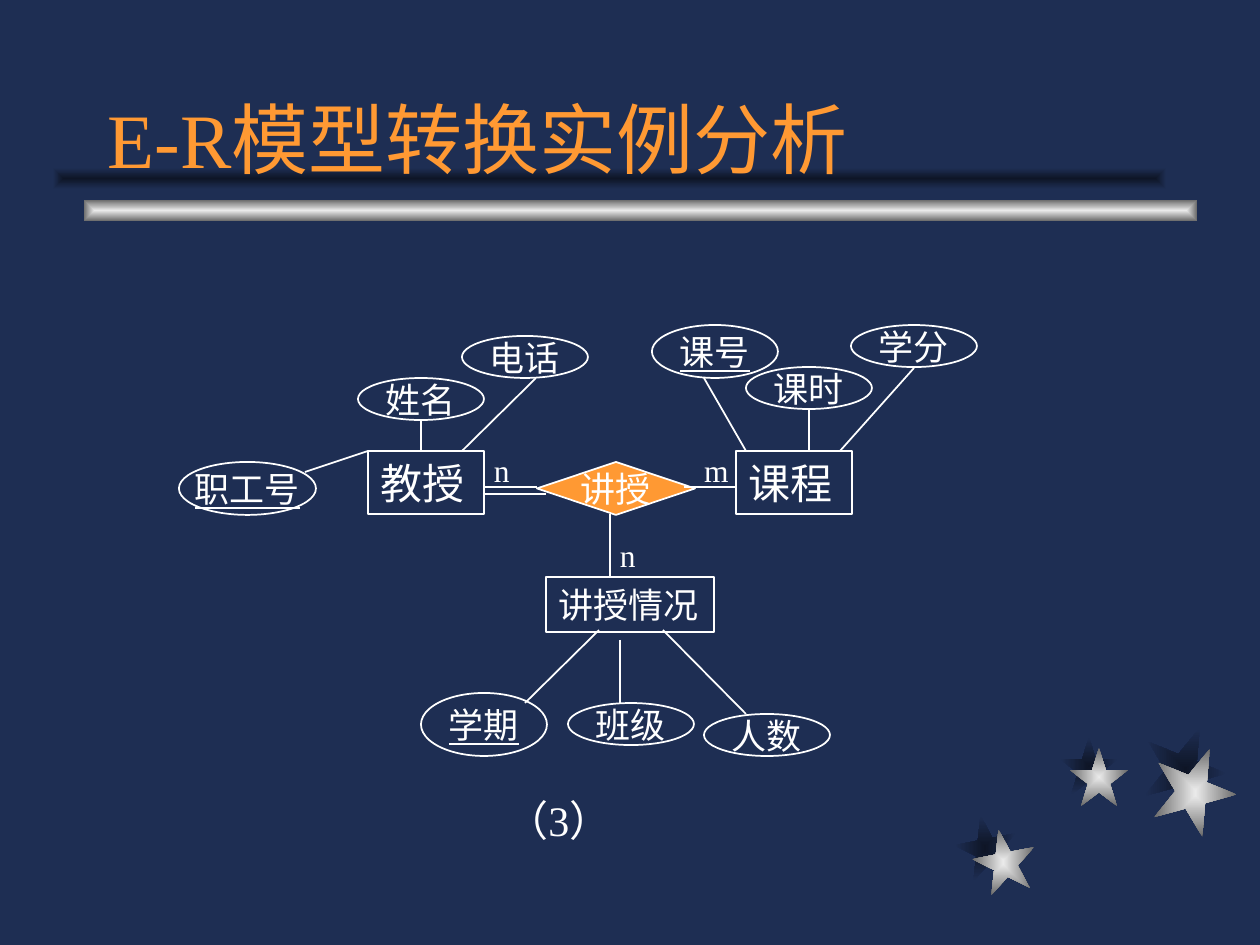
import math

import lxml.etree
import pptx
import pptx.dml.color
import pptx.enum.shapes
import pptx.enum.text
import pptx.oxml.ns
import pptx.util

PX = 914400 / 126
FONT = "Times New Roman"
COLORS = {
    "background": "1E2E53",
    "shadow": "0E1526",
    "accent": "FF9933",
    "text": "FFFFFF",
    "silver": "EAEAEA",
    "grey": "6C6C6C",
}
MSO_SHAPE = pptx.enum.shapes.MSO_SHAPE
PP_ALIGN = pptx.enum.text.PP_ALIGN
MSO_ANCHOR = pptx.enum.text.MSO_ANCHOR

SILVER = ("silver", "grey")
SHADOW = ("shadow", "background")
STARS = [
    (SHADOW, 955, 815, 63, 349),
    (SHADOW, 1060, 737, 58, 0),
    (SHADOW, 1142, 725, 84, 22),
    (SILVER, 973, 829, 63, 349),
    (SILVER, 1070, 748, 58, 0),
    (SILVER, 1152, 746, 84, 22),
]
BARS = [(SILVER, (84, 200, 1113, 21)), (SHADOW, (53, 168, 1113, 21))]
ENTITIES = [
    ("教授", (368, 451, 116, 63), 24),
    ("课程", (736, 451, 116, 63), 24),
    ("讲授情况", (546, 577, 168, 55), 20),
]
ATTRIBUTES = [
    ("职工号", (179, 462, 137, 53), True),
    ("姓名", (358, 378, 126, 42), False),
    ("电话", (462, 336, 126, 42), False),
    ("课号", (652, 325, 126, 53), True),
    ("课时", (746, 367, 126, 42), False),
    ("学分", (851, 325, 126, 42), False),
    ("学期", (421, 693, 126, 63), True),
    ("班级", (568, 703, 126, 42), False),
    ("人数", (704, 714, 126, 42), False),
]
CARDINALITIES = [("n", 494, 451), ("m", 704, 451), ("n", 620, 536)]
LINKS = [
    (484, 487, 537, 487),
    (483, 494, 546, 494),
    (684, 487, 736, 487),
    (610, 514, 610, 577),
    (305, 472, 368, 451),
    (421, 420, 421, 451),
    (536, 378, 462, 451),
    (704, 378, 746, 451),
    (809, 410, 809, 451),
    (914, 368, 840, 451),
    (599, 630, 525, 703),
    (620, 640, 620, 703),
    (663, 630, 746, 714),
]


def emu(*lengths):
    """Turn px lengths into EMU."""
    return [pptx.util.Emu(round(n * PX)) for n in lengths]


def rgb(name):
    """Look up a named colour."""
    return pptx.dml.color.RGBColor.from_string(COLORS[name])


def write(shape, text, size, color="text", align=PP_ALIGN.LEFT,
          anchor=MSO_ANCHOR.TOP, wrap=True, underline=None):
    """Put one formatted paragraph into a shape."""
    tf = shape.text_frame
    tf.word_wrap = wrap
    tf.auto_size = pptx.enum.text.MSO_AUTO_SIZE.NONE
    tf.vertical_anchor = anchor
    p = tf.paragraphs[0]
    p.text = text
    p.alignment = align
    p.font.name = FONT
    p.font.size = pptx.util.Pt(size)
    p.font.underline = underline
    p.font.color.rgb = rgb(color)


def fill_from_centre(shape, colors):
    """Fill a borderless shape with a gradient running from its centre."""
    shape.shadow.inherit = False
    shape.line.fill.background()
    shape.fill.gradient()
    for stop, color in zip(shape.fill.gradient_stops, colors):
        stop.color.rgb = rgb(color)
    qn = pptx.oxml.ns.qn
    lin = next(shape.element.iter(qn("a:lin")))
    path = lxml.etree.Element(qn("a:path"), path="rect")
    lxml.etree.SubElement(path, qn("a:fillToRect"),
                          dict.fromkeys("ltrb", "50000"))
    lin.getparent().replace(lin, path)


def add_star(s, colors, left, top, size, angle):
    """Draw a five-pointed star fitted to a square and turned about its centre."""
    width, height = 2 * math.sin(math.radians(72)), 1 + math.cos(math.radians(36))
    turn = math.radians(angle)
    points = []
    for i in range(10):
        a = math.radians(36 * i)
        radius = 0.382 if i % 2 else 1
        x = size * radius * math.sin(a) / width
        y = size * ((1 - radius * math.cos(a)) / height - 0.5)
        points.append(emu(
            left + size / 2 + x * math.cos(turn) - y * math.sin(turn),
            top + size / 2 + x * math.sin(turn) + y * math.cos(turn)))
    builder = s.shapes.build_freeform(*points[0])
    builder.add_line_segments(points[1:], close=True)
    fill_from_centre(builder.convert_to_shape(), colors)


def add_bar(s, colors, box):
    """Draw a gradient bar."""
    fill_from_centre(s.shapes.add_shape(MSO_SHAPE.RECTANGLE, *emu(*box)), colors)


def add_node(s, kind, box, fill=None):
    """Draw an outlined diagram shape."""
    shape = s.shapes.add_shape(kind, *emu(*box))
    shape.shadow.inherit = False
    shape.line.color.rgb = rgb("text")
    shape.line.width = pptx.util.Pt(1)
    if fill:
        shape.fill.solid()
        shape.fill.fore_color.rgb = rgb(fill)
    else:
        shape.fill.background()
    return shape


def add_centred_node(s, kind, text, box, fill=None, underline=None):
    """Draw a diagram shape with a centred label."""
    write(add_node(s, kind, box, fill), text, 20, align=PP_ALIGN.CENTER,
          anchor=MSO_ANCHOR.MIDDLE, wrap=False, underline=underline)


def add_label(s, text, box, size, inset=True):
    """Add a free text label."""
    tb = s.shapes.add_textbox(*emu(*box))
    write(tb, text, size)
    if not inset:
        tf = tb.text_frame
        tf.margin_left = tf.margin_top = tf.margin_right = tf.margin_bottom = 0


def add_link(s, ends):
    """Draw a straight line."""
    line = s.shapes.add_connector(
        pptx.enum.shapes.MSO_CONNECTOR.STRAIGHT, *emu(*ends))
    line.line.color.rgb = rgb("text")
    line.line.width = pptx.util.Pt(1)
    lxml.etree.SubElement(line.element.spPr, pptx.oxml.ns.qn("a:effectLst"))


def set_title(s, text):
    """Place the title in front of the decoration."""
    title = s.shapes.title
    title.left, title.top, title.width, title.height = emu(95, 32, 1071, 158)
    write(title, text, 44, "accent", anchor=MSO_ANCHOR.BOTTOM)
    s.shapes.element.append(title.element)


def main():
    """Build the slide and save it."""
    prs = pptx.Presentation()
    prs.slide_width, prs.slide_height = emu(1260, 945)
    s = prs.slides.add_slide(prs.slide_layouts[5])
    s.background.fill.solid()
    s.background.fill.fore_color.rgb = rgb("background")
    for star in STARS:
        add_star(s, *star)
    for bar in BARS:
        add_bar(s, *bar)
    set_title(s, "E-R模型转换实例分析")
    for text, box, size in ENTITIES:
        write(add_node(s, MSO_SHAPE.RECTANGLE, box), text, size)
    add_centred_node(s, MSO_SHAPE.FLOWCHART_DECISION, "讲授",
                     (537, 462, 158, 53), fill="accent")
    for text, box, is_key in ATTRIBUTES:
        add_centred_node(s, MSO_SHAPE.OVAL, text, box, underline=is_key or None)
    for ends in LINKS:
        add_link(s, ends)
    for text, left, top in CARDINALITIES:
        add_label(s, text, (left, top, 21, 38), 18, inset=False)
    add_label(s, "（3）", (494, 788, 189, 63), 24)
    prs.save("out.pptx")


if __name__ == "__main__":
    main()
